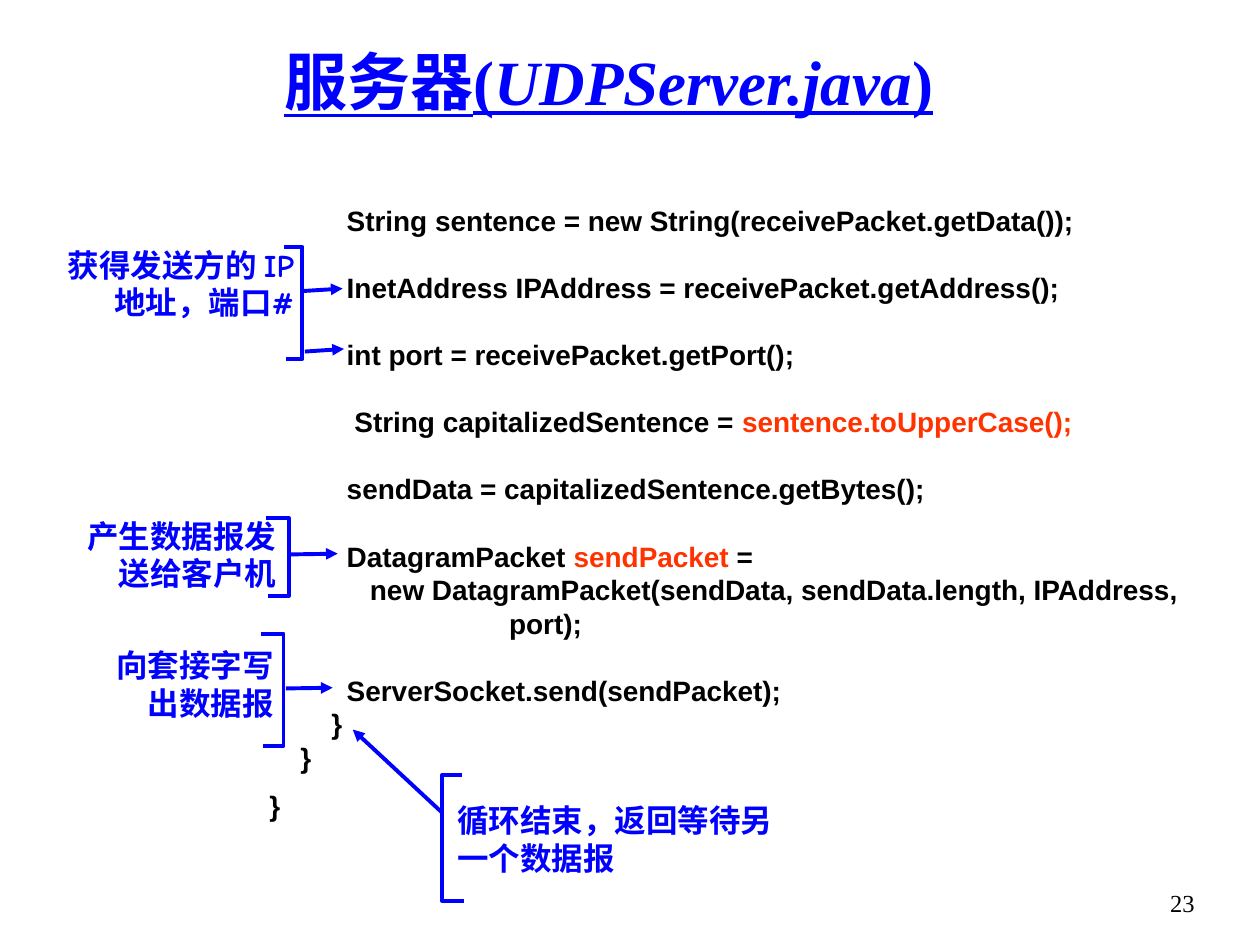
from lxml import etree
from pptx import Presentation
from pptx.dml.color import RGBColor
from pptx.enum.shapes import MSO_CONNECTOR
from pptx.enum.text import MSO_ANCHOR, PP_ALIGN
from pptx.oxml.ns import qn
from pptx.util import Pt

LEFT, CENTER, RIGHT = PP_ALIGN.LEFT, PP_ALIGN.CENTER, PP_ALIGN.RIGHT
TOP, MIDDLE = MSO_ANCHOR.TOP, MSO_ANCHOR.MIDDLE
STRAIGHT = MSO_CONNECTOR.STRAIGHT

THEME = {
    "blue": RGBColor(0x00, 0x00, 0xFF),
    "black": RGBColor(0x00, 0x00, 0x00),
    "red": RGBColor(0xFF, 0x33, 0x00),
    "serif": "Times New Roman", "code": "Arial", "note": "Comic Neue",
    "title_size": 36, "note_size": 18, "code_size": 16, "number_size": 14,
    "line_width": 2.25, "code_pitch": 19.2,
}

# Content: title runs as (text, italic)
TITLE = [("服务器(", False), ("UDPServer.java", True), (")", False)]
SLIDE_NUMBER = "23"

# Code lines as (gap before in points, runs of (text, colour))
GAP = THEME["code_pitch"]
CODE = [
    (0, [("          String sentence = new String(receivePacket.getData());", "black")]),
    (GAP, [("          InetAddress IPAddress = receivePacket.getAddress();", "black")]),
    (GAP, [("          int port = receivePacket.getPort();", "black")]),
    (GAP, [("           String capitalizedSentence = ", "black"),
           ("sentence.toUpperCase();", "red")]),
    (GAP, [("          sendData = capitalizedSentence.getBytes();", "black")]),
    (GAP, [("          DatagramPacket ", "black"), ("sendPacket", "red"), (" =", "black")]),
    (0, [("             new DatagramPacket(sendData, sendData.length, IPAddress,", "black")]),
    (0, [("                               port);", "black")]),
    (GAP, [("          ServerSocket.send(sendPacket);", "black")]),
    (0, [("        }", "black")]),
    (0, [("    }", "black")]),
    (8, [("}", "black")]),
]

# Notes: box is left, top, width; bracket is arm x, spine x, top, bottom;
# each arrow is x1, y1, x2, y2
NOTES = [
    {"text": "获得发送方的 IP 地址，端口#", "align": RIGHT, "box": (10, 136.8, 165),
     "bracket": (162, 172.8, 141.1, 205.2),
     "arrows": [(173.5, 166.3, 195.8, 164.9), (174.2, 200.9, 196.6, 199.4)]},
    {"text": "产生数据报发送给客户机", "align": RIGHT, "box": (29.5, 291.6, 135.4),
     "bracket": (151.9, 164.9, 295.9, 340.6),
     "arrows": [(166.3, 316.8, 193, 316.4)]},
    {"text": "向套接字写出数据报", "align": RIGHT, "box": (51.8, 365.8, 111.6),
     "bracket": (149, 162, 362.2, 426.2),
     "arrows": [(163.4, 393.4, 190.1, 393)]},
    {"text": "循环结束，返回等待另一个数据报", "align": LEFT, "box": (254.2, 454.3, 208.8),
     "bracket": (264.2, 252.7, 442.8, 514.8),
     "arrows": [(252.7, 464.4, 201.6, 416.9)]},
]
NOTE_HEIGHT = 50.4
ARM_OFFSET = 1.2  # the lower arm ends slightly further right


def add_run(paragraph, text, font, size, colour, bold=True):
    run = paragraph.add_run()
    run.text = text
    run.font.name = THEME[font]
    run.font.size = Pt(THEME[size])
    run.font.bold = bold
    run.font.color.rgb = THEME[colour]
    return run


def add_box(slide, left, top, width, height, anchor):
    box = slide.shapes.add_textbox(Pt(left), Pt(top), Pt(width), Pt(height))
    box.text_frame.word_wrap = True
    box.text_frame.vertical_anchor = anchor
    return box.text_frame


def style_line(shape):
    shape.line.color.rgb = THEME["blue"]
    shape.line.width = Pt(THEME["line_width"])


def add_bracket(slide, arm, spine, top, bottom):
    builder = slide.shapes.build_freeform(Pt(arm), Pt(top), scale=1.0)
    corners = [(spine, top), (spine, bottom), (arm + ARM_OFFSET, bottom)]
    builder.add_line_segments([(Pt(x), Pt(y)) for x, y in corners], close=False)
    bracket = builder.convert_to_shape()
    bracket.shadow.inherit = False
    bracket.fill.background()
    style_line(bracket)


def add_arrow(slide, *ends):
    arrow = slide.shapes.add_connector(STRAIGHT, *(Pt(v) for v in ends))
    style_line(arrow)
    etree.SubElement(arrow.line._get_or_add_ln(), qn("a:tailEnd"), type="triangle")
    etree.SubElement(arrow._element.spPr, qn("a:effectLst"))


def main():
    prs = Presentation()
    prs.slide_width, prs.slide_height = Pt(720), Pt(540)
    slide = prs.slides.add_slide(prs.slide_layouts[5])

    # Title
    title = slide.shapes.title
    title.left, title.top, title.width, title.height = Pt(41.8), Pt(18), Pt(612), Pt(56.2)
    title.text_frame.vertical_anchor = MIDDLE
    heading = title.text_frame.paragraphs[0]
    heading.alignment = CENTER
    for text, italic in TITLE:
        run = add_run(heading, text, "serif", "title_size", "blue")
        run.font.italic = italic
        run.font.underline = True

    # Code listing
    listing = add_box(slide, 146.9, 112.6, 545, 362, TOP)
    for i, (gap, runs) in enumerate(CODE):
        line = listing.add_paragraph() if i else listing.paragraphs[0]
        line.line_spacing = Pt(THEME["code_pitch"])
        if gap:
            line.space_before = Pt(gap)
        for text, colour in runs:
            add_run(line, text, "code", "code_size", colour)

    # Notes with their brackets and arrows
    for note in NOTES:
        caption = add_box(slide, *note["box"], NOTE_HEIGHT, MIDDLE).paragraphs[0]
        caption.alignment = note["align"]
        add_run(caption, note["text"], "note", "note_size", "blue")
        add_bracket(slide, *note["bracket"])
        for ends in note["arrows"]:
            add_arrow(slide, *ends)

    # Slide number
    number = add_box(slide, 653.8, 504, 36, 36, TOP).paragraphs[0]
    number.alignment = RIGHT
    add_run(number, SLIDE_NUMBER, "serif", "number_size", "black", bold=False)

    prs.save("out.pptx")


if __name__ == "__main__":
    main()
